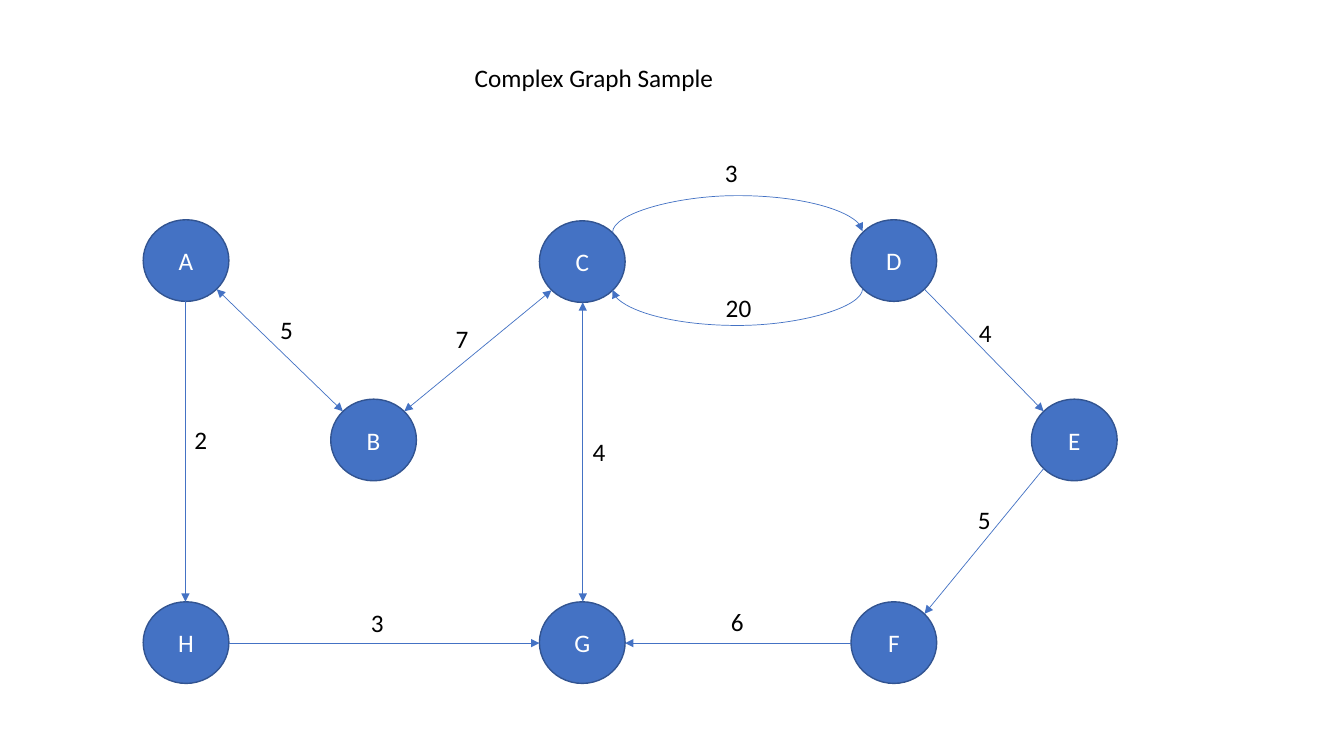
from math import cos, pi, sin

from lxml.etree import SubElement
from pptx import Presentation
from pptx.dml.color import RGBColor
from pptx.enum.shapes import MSO_CONNECTOR, MSO_SHAPE
from pptx.enum.text import MSO_ANCHOR, MSO_AUTO_SIZE, PP_ALIGN
from pptx.oxml.ns import qn
from pptx.util import Emu, Pt

PX = 9144  # 100 px to the inch
COLORS = {"node": "4472C4", "outline": "325491", "letter": "FFFFFF", "text": "000000"}
NODE_WIDTH, NODE_HEIGHT = 85, 81
ARC_RISE = 37

# Connection sites of an ellipse, counter-clockwise from the top
TOP, TOP_LEFT, LEFT, BOTTOM_LEFT, BOTTOM, BOTTOM_RIGHT, RIGHT, TOP_RIGHT = range(8)

# Left and top of each node
NODES = {
    "B": (328, 396), "C": (535, 219), "D": (844, 218), "E": (1023, 396),
    "F": (844, 597), "G": (535, 597), "A": (142, 218), "H": (142, 597),
}

# Start node and site, end node and site, arrowheads at both ends
EDGES = [
    ("A", BOTTOM, "H", TOP, False),
    ("H", RIGHT, "G", LEFT, False),
    ("F", LEFT, "G", RIGHT, False),
    ("C", BOTTOM, "G", TOP, True),
    ("A", BOTTOM_RIGHT, "B", TOP_LEFT, True),
    ("C", BOTTOM_LEFT, "B", TOP_RIGHT, True),
    ("D", BOTTOM_RIGHT, "E", TOP_LEFT, False),
    ("E", BOTTOM_LEFT, "F", TOP_RIGHT, False),
]

# Start node and site, end node and site, bends upwards
ARCS = [
    ("C", TOP_RIGHT, "D", TOP_LEFT, True),
    ("D", BOTTOM_LEFT, "C", BOTTOM_RIGHT, False),
]

# Text, left, top, width
LABELS = [
    ("7", 442, 316, 33), ("20", 710, 285, 46), ("4", 961, 310, 33),
    ("5", 960, 495, 33), ("6", 715, 597, 33), ("3", 358, 598, 33),
    ("2", 183, 416, 33), ("5", 268, 307, 33), ("3", 709, 151, 33),
    ("Complex Graph Sample", 461, 57, 259), ("4", 578, 428, 33),
]


def px(*lengths):
    return [Emu(length * PX) for length in lengths]


def color(name):
    return RGBColor.from_string(COLORS[name])


def add_span(para, text, color_name):
    span = para.add_run()
    span.text = text
    span.font.name = "Calibri"
    span.font.size = Pt(18)
    span.font.color.rgb = color(color_name)


def add_node(page, letter):
    node = page.shapes.add_shape(MSO_SHAPE.OVAL, *px(*NODES[letter], NODE_WIDTH, NODE_HEIGHT))
    node.shadow.inherit = False
    node.fill.solid()
    node.fill.fore_color.rgb = color("node")
    node.line.color.rgb = color("outline")
    node.line.width = Pt(1)
    node.text_frame.vertical_anchor = MSO_ANCHOR.MIDDLE
    para = node.text_frame.paragraphs[0]
    para.alignment = PP_ALIGN.CENTER
    add_span(para, letter, "letter")
    return node


def site_point(letter, site):
    left, top = NODES[letter]
    angle = pi / 2 + site * pi / 4
    x = left + NODE_WIDTH / 2 * (1 + cos(angle))
    y = top + NODE_HEIGHT / 2 * (1 - sin(angle))
    return round(x), round(y)


def style_connector(connector, both_ends=False):
    connector.line.color.rgb = color("node")
    connector.line.width = Pt(0.5)
    line = connector.line._get_or_add_ln()
    for end in ["headEnd", "tailEnd"] if both_ends else ["tailEnd"]:
        SubElement(line, qn("a:" + end), type="triangle")
    SubElement(connector._element.spPr, qn("a:effectLst"))


def glue(connector, start, start_site, end, end_site):
    holder = connector._element.nvCxnSpPr.cNvCxnSpPr
    for tag, node, site in [("a:stCxn", start, start_site), ("a:endCxn", end, end_site)]:
        SubElement(holder, qn(tag), id=str(node.shape_id), idx=str(site))


def add_edge(page, nodes, start, start_site, end, end_site, both_ends):
    points = px(*site_point(start, start_site), *site_point(end, end_site))
    edge = page.shapes.add_connector(MSO_CONNECTOR.STRAIGHT, *points)
    style_connector(edge, both_ends)
    glue(edge, nodes[start], start_site, nodes[end], end_site)


def add_arc(page, nodes, start, start_site, end, end_site, upwards):
    start_x, start_y = site_point(start, start_site)
    end_x, end_y = site_point(end, end_site)
    # The frame is laid out upright, then turned by a quarter about its centre
    width, height = abs(end_y - start_y), abs(end_x - start_x)
    left = (start_x + end_x - width) // 2
    top = (start_y + end_y - height) // 2
    arc = page.shapes.add_connector(
        MSO_CONNECTOR.CURVE, *px(left, top, left + width, top + height))
    frame = arc._element.spPr.find(qn("a:xfrm"))
    frame.set("rot", "5400000")
    if upwards:
        frame.set("flipH", "1")
        frame.set("flipV", "1")
    adjustments = arc._element.spPr.find(qn("a:prstGeom")).get_or_add_avLst()
    SubElement(adjustments, qn("a:gd"), name="adj1", fmla=f"val {ARC_RISE * 100000 // width}")
    style_connector(arc)
    glue(arc, nodes[start], start_site, nodes[end], end_site)


def add_label(page, text, left, top, width):
    box = page.shapes.add_textbox(*px(left, top, width, 40))
    box.text_frame.word_wrap = False
    box.text_frame.auto_size = MSO_AUTO_SIZE.SHAPE_TO_FIT_TEXT
    add_span(box.text_frame.paragraphs[0], text, "text")


def main():
    deck = Presentation()
    deck.slide_width, deck.slide_height = px(1333, 750)
    page = deck.slides.add_slide(deck.slide_layouts[6])

    # Nodes
    nodes = {letter: add_node(page, letter) for letter in NODES}

    # Edges
    for edge in EDGES:
        add_edge(page, nodes, *edge)
    for arc in ARCS:
        add_arc(page, nodes, *arc)

    # Title and weights
    for label in LABELS:
        add_label(page, *label)

    deck.save("out.pptx")


if __name__ == "__main__":
    main()
